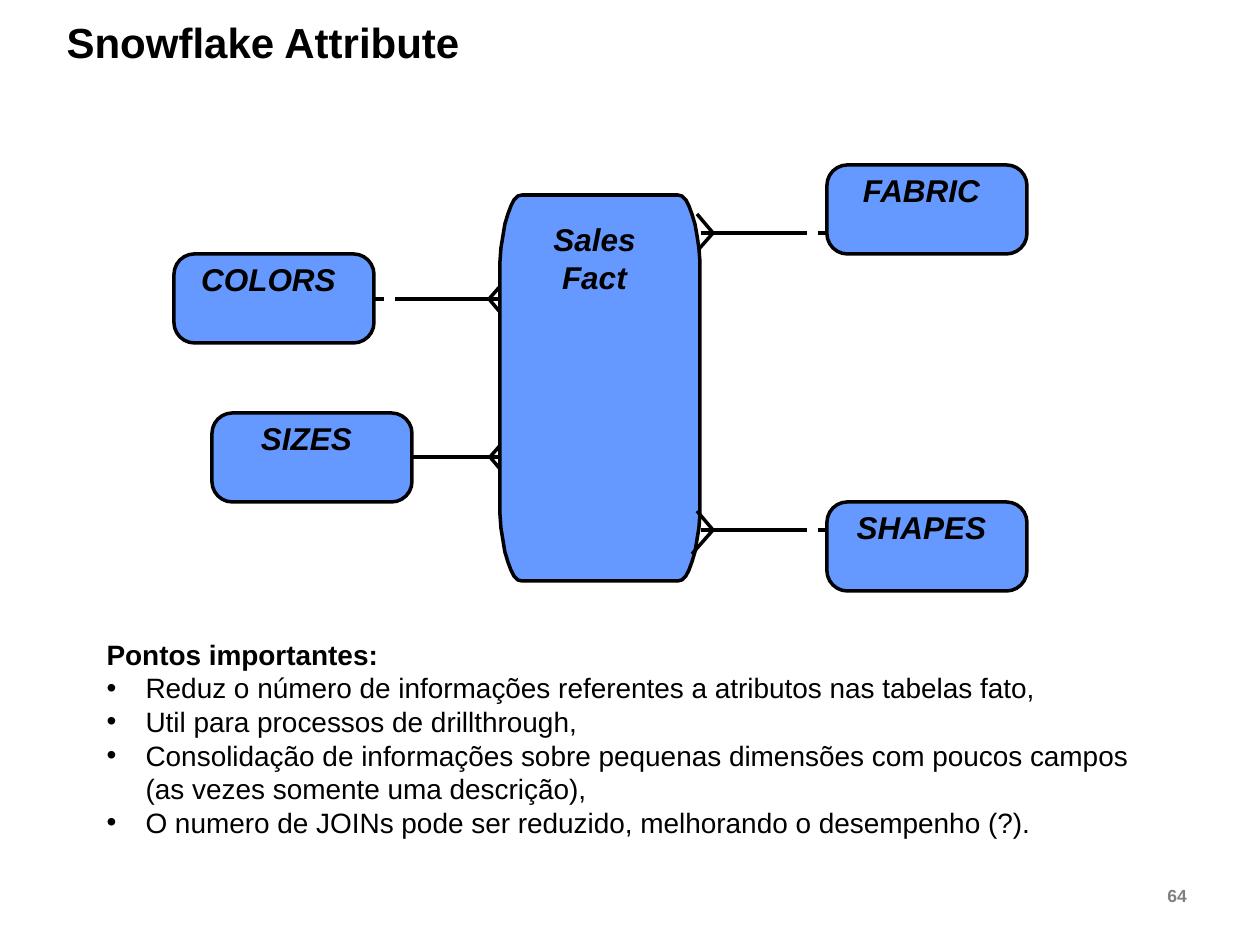
from math import cos, radians, sin

from lxml.etree import SubElement
from pptx import Presentation
from pptx.dml.color import RGBColor
from pptx.enum.dml import MSO_LINE
from pptx.enum.shapes import MSO_CONNECTOR, MSO_SHAPE
from pptx.enum.text import MSO_ANCHOR, MSO_AUTO_SIZE, PP_ALIGN
from pptx.oxml.ns import qn
from pptx.util import Pt

SCALE = 914400 / 126  # EMU per pixel


def px(*lengths):
    return [round(length * SCALE) for length in lengths]


def color(value):
    return RGBColor.from_string(value)


class Diagram:
    font, ink, blue, gray = "Arial", "000000", "6699FF", "808080"

    def __init__(self, page):
        self.page = page

    def style(self, para, size, bold=False, italic=False, ink=None):
        font = para.font
        font.name, font.size, font.bold, font.italic = self.font, Pt(size), bold, italic
        font.color.rgb = color(ink or self.ink)

    def outline(self, shape):
        shape.shadow.inherit = False
        shape.fill.solid()
        shape.fill.fore_color.rgb = color(self.blue)
        shape.line.color.rgb = color(self.ink)
        shape.line.width = Pt(2)

    def place(self, holder, left, top, width, height):
        holder.left, holder.top, holder.width, holder.height = px(left, top, width, height)
        frame = holder.text_frame
        frame.word_wrap, frame.auto_size = True, MSO_AUTO_SIZE.NONE
        frame.vertical_anchor = MSO_ANCHOR.TOP
        return frame

    def title(self, text, *area):
        para = self.place(self.page.shapes.title, *area).paragraphs[0]
        para.text, para.alignment, para.line_spacing = text, PP_ALIGN.LEFT, 0.9
        self.style(para, 24, bold=True)

    def points(self, heading, items, *area):
        frame = self.place(self.page.placeholders[1], *area)
        frame.text = "\n".join([heading, *items])
        for index, para in enumerate(frame.paragraphs):
            self.style(para, 16, bold=index == 0)
            para.space_before = Pt(0)
            indent = px(39)[0] if index else 0
            props = para._p.get_or_add_pPr()
            props.set("marL", str(indent))
            props.set("indent", str(-indent))
            if index:
                SubElement(props, qn("a:buChar")).set("char", "•")
            else:
                SubElement(props, qn("a:buNone"))

    def text(self, lines, left, top, width, height, size, wrap=True, **look):
        box = self.page.shapes.add_textbox(*px(left, top, width, height))
        frame = box.text_frame
        frame.word_wrap = wrap
        frame.text = "\n".join(lines)
        for para in frame.paragraphs:
            para.alignment = PP_ALIGN.CENTER if wrap else PP_ALIGN.LEFT
            self.style(para, size, bold=True, **look)

    def dimension(self, name, left, top):
        shape = self.page.shapes.add_shape(
            MSO_SHAPE.ROUNDED_RECTANGLE, *px(left, top, 200, 89))
        shape.adjustments[0] = 0.23
        self.outline(shape)
        self.text([name], left, top, 189, 81, 18, italic=True)

    def fact(self, lines, left, top, width, height, radius_x=22, radius_y=81):
        # Four elliptical corners, clockwise from the right edge
        corners = [(left + width - radius_x, top + height - radius_y),
                   (left + radius_x, top + height - radius_y),
                   (left + radius_x, top + radius_y),
                   (left + width - radius_x, top + radius_y)]
        points = [(x + radius_x * cos(radians(90 * turn + step)),
                   y + radius_y * sin(radians(90 * turn + step)))
                  for turn, (x, y) in enumerate(corners) for step in range(0, 91, 10)]
        builder = self.page.shapes.build_freeform(*points[0], scale=SCALE)
        builder.add_line_segments(points[1:], close=True)
        self.outline(builder.convert_to_shape())
        self.text(lines, left, top + 19, 189, 118, 18, italic=True)

    def line(self, start, end, dashed=False):
        connector = self.page.shapes.add_connector(
            MSO_CONNECTOR.STRAIGHT, *px(*start, *end))
        connector.line.color.rgb = color(self.ink)
        connector.line.width = Pt(2)
        if dashed:
            connector.line.dash_style = MSO_LINE.DASH
        SubElement(connector._element.spPr, qn("a:effectLst"))

    def relation(self, x, y, side):
        # Crow's foot at (x, y); side is 1 when the line runs right, -1 when left
        self.line((x, y), (x - 21 * side, y + 24 * side))
        self.line((x - 16 * side, y - 19 * side), (x, y))
        self.line((x - 12 * side, y), (x + 80 * side, y))
        self.line((x + 80 * side, y), (x + 138 * side, y), dashed=True)


deck = Presentation()
deck.slide_width, deck.slide_height = px(1260, 945)
diagram = Diagram(deck.slides.add_slide(deck.slide_layouts[1]))

# Title and key points
diagram.title("Snowflake Attribute", 54, 16, 993, 106)
diagram.points("Pontos importantes:", [
    "Reduz o número de informações referentes a atributos nas tabelas fato,",
    "Util para processos de drillthrough,",
    "Consolidação de informações sobre pequenas dimensões com poucos campos "
    "(as vezes somente uma descrição),",
    "O numero de JOINs pode ser reduzido, melhorando o desempenho (?).",
], 94, 631, 1062, 217)

# Relations behind the fact table
for foot in [(490, 457, -1), (489, 299, -1), (713, 233, 1)]:
    diagram.relation(*foot)

# Fact table, with the last relation in front of it
diagram.fact(["Sales", "Fact"], 500, 195, 200, 386)
diagram.relation(713, 530, 1)

# Dimensions
for name, left, top in [("FABRIC", 827, 165), ("SHAPES", 827, 502),
                        ("COLORS", 174, 254), ("SIZES", 212, 413)]:
    diagram.dimension(name, left, top)

# Page number
diagram.text(["64"], 1155, 879, 54, 33, 10, wrap=False, ink=diagram.gray)

deck.save("out.pptx")
